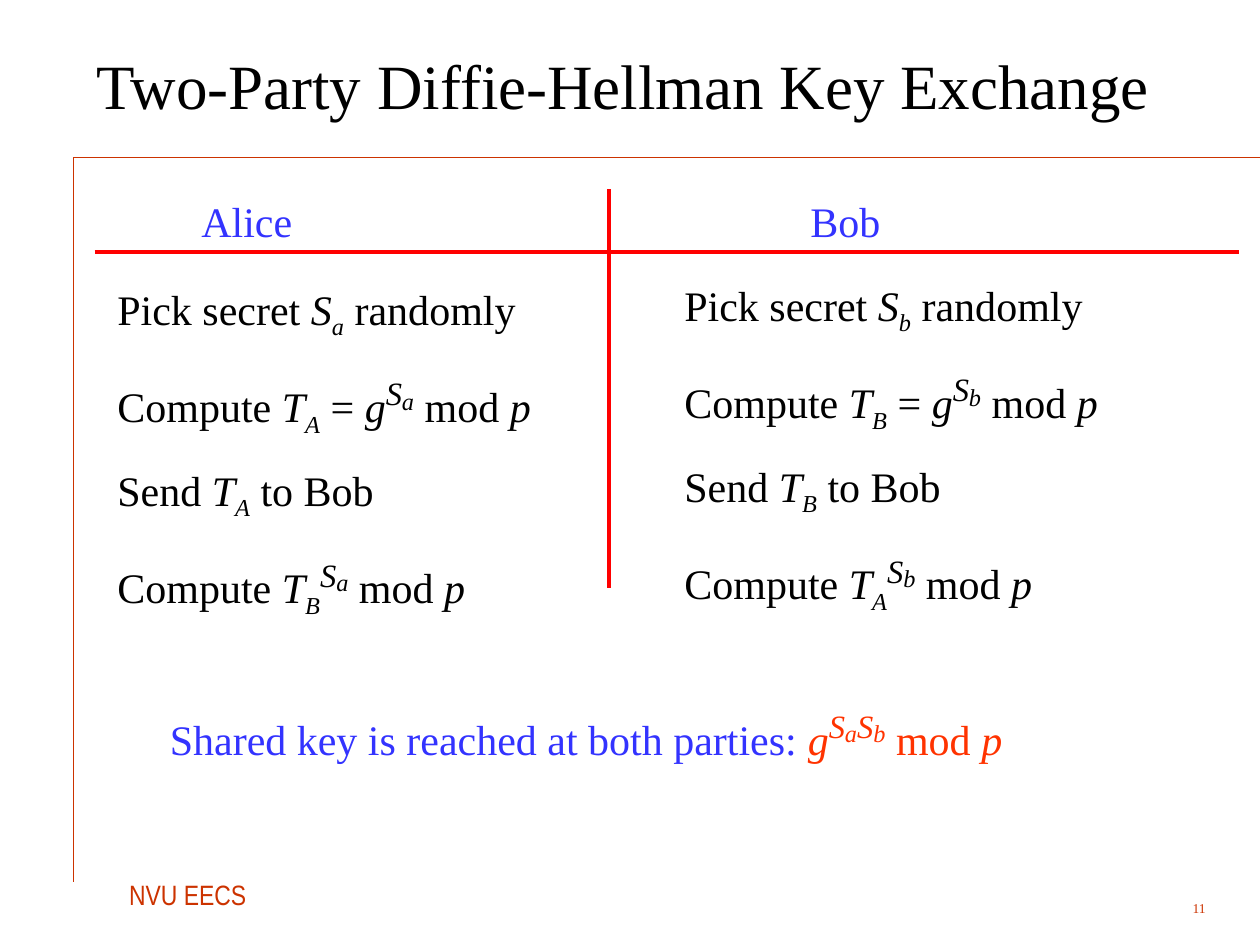
from dataclasses import dataclass

from pptx import Presentation
from pptx.dml.color import RGBColor
from pptx.enum.shapes import MSO_CONNECTOR
from pptx.enum.text import MSO_ANCHOR, MSO_AUTO_SIZE, PP_ALIGN
from pptx.oxml.ns import qn
from pptx.util import Pt

STRAIGHT = MSO_CONNECTOR.STRAIGHT
TOP, MIDDLE = MSO_ANCHOR.TOP, MSO_ANCHOR.MIDDLE
LEFT, RIGHT = PP_ALIGN.LEFT, PP_ALIGN.RIGHT
NO_FIT = MSO_AUTO_SIZE.NONE
PX = 9525


@dataclass(frozen=True)
class Theme:
    serif: str = "Times New Roman"
    narrow: str = "Arial Narrow"
    ink: str = "000000"
    blue: str = "3333FF"
    key: str = "FF3300"
    rule: str = "FF0000"
    frame: str = "CC3300"
    title: float = 36
    body: float = 24
    power: float = 32
    footer: float = 16
    number: float = 7.7


T = Theme()
MARKS = {
    "/": (T.body, 0),
    "_": (T.body, -25000),
    "^": (T.power, 30000),
    "'": (T.body, 30000),
}


def write(sp, text, size=T.body, color=T.ink, accent=None, font=T.serif,
          before=15, align=LEFT, anchor=TOP, wrap=True):
    tf = sp.text_frame
    tf.word_wrap, tf.auto_size, tf.vertical_anchor = wrap, NO_FIT, anchor
    for i, line in enumerate(text.split("\n")):
        p = tf.add_paragraph() if i else tf.paragraphs[0]
        p.alignment, p.space_before = align, Pt(before)
        for n, part in enumerate(line.split("|")):
            marked = part[0] in MARKS
            run_size, shift = MARKS.get(part[0], (size, 0))
            r = p.add_run()
            r.text = part[1:] if marked else part
            r.font.name, r.font.size, r.font.italic = font, Pt(run_size), marked
            r.font.color.rgb = RGBColor.from_string(accent if accent and n else color)
            if shift:
                r.font._element.set("baseline", str(shift))


prs = Presentation()
prs.slide_width, prs.slide_height = 960 * PX, 720 * PX
slide = prs.slides.add_slide(prs.slide_layouts[5])
shapes = slide.shapes

for x1, y1, x2, y2, color, width in [
    (56, 120, 960, 120, T.frame, 0.25),
    (56, 120, 56, 672, T.frame, 0.75),
    (72, 192, 944, 192, T.rule, 2),
    (464, 144, 464, 448, T.rule, 2),
]:
    line = shapes.add_connector(STRAIGHT, x1 * PX, y1 * PX, x2 * PX, y2 * PX)
    line.line.color.rgb = RGBColor.from_string(color)
    line.line.width = Pt(width)
    sp_pr = line._element.spPr
    sp_pr.append(sp_pr.makeelement(qn("a:effectLst"), {}))

title = shapes.title
title.left, title.top, title.width, title.height = 64 * PX, 16 * PX, 865 * PX, 96 * PX
write(title, "Two-Party Diffie-Hellman Key Exchange", size=T.title, before=0, anchor=MIDDLE)

STEPS = """Pick secret |/S|_{s}| randomly
Compute |/T|_{own}| = |/g|^S|'{s}| mod |/p
Send |/T|_{own}| to Bob
Compute |/T|_{other}|^S|'{s}| mod |/p"""
alice = STEPS.format(s="a", own="A", other="B")
bob = STEPS.format(s="b", own="B", other="A")
shared = "Shared key is reached at both parties: |/g|^S|'a|^S|'b| mod |/p"

for x, y, w, h, text, fmt in [
    (89, 664, 114, 36, "NVU EECS",
     dict(size=T.footer, color=T.frame, font=T.narrow, before=4, wrap=False)),
    (848, 680, 80, 24, "11",
     dict(size=T.number, color=T.frame, before=0, align=RIGHT, anchor=MIDDLE)),
    (144, 144, 152, 48, "Alice", dict(color=T.blue)),
    (608, 144, 152, 48, "Bob", dict(color=T.blue)),
    (80, 211, 392, 266, alice, {}),
    (512, 208, 392, 266, bob, {}),
    (120, 528, 744, 61, shared, dict(color=T.blue, accent=T.key)),
]:
    write(shapes.add_textbox(x * PX, y * PX, w * PX, h * PX), text, **fmt)

prs.save("out.pptx")
